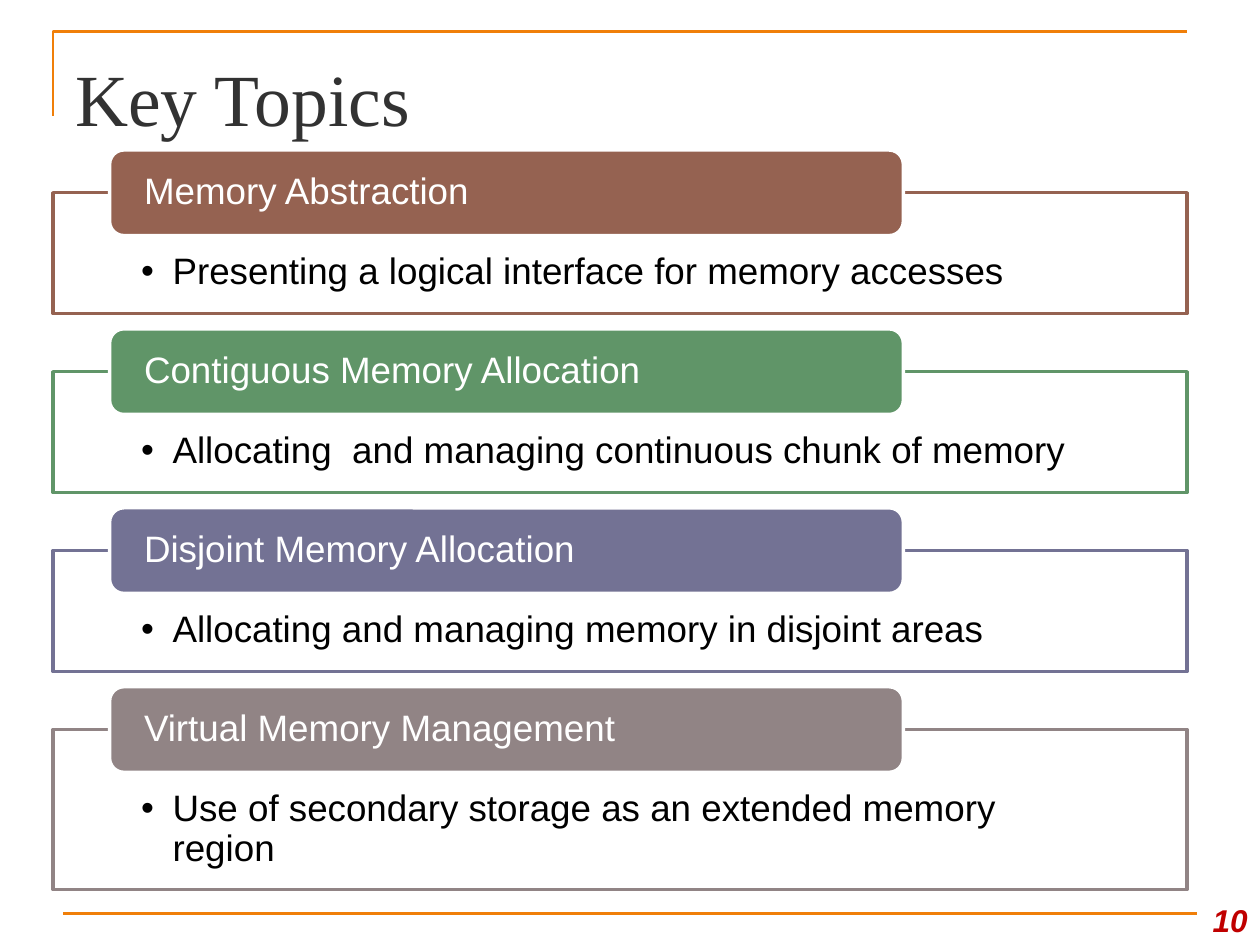
from lxml.etree import SubElement
from pptx import Presentation
from pptx.dml.color import RGBColor
from pptx.enum.shapes import MSO_CONNECTOR, MSO_SHAPE
from pptx.enum.text import MSO_ANCHOR, PP_ALIGN
from pptx.oxml.ns import qn
from pptx.util import Inches, Pt

ORANGE = RGBColor(0xF0, 0x7F, 0x09)
CHARCOAL = RGBColor(0x32, 0x32, 0x32)
DARK_RED = RGBColor(0xC0, 0x00, 0x00)
WHITE = RGBColor(0xFF, 0xFF, 0xFF)
BLACK = RGBColor(0x00, 0x00, 0x00)
BROWN = RGBColor(0x95, 0x62, 0x51)
GREEN = RGBColor(0x60, 0x95, 0x68)
VIOLET = RGBColor(0x73, 0x72, 0x94)
TAUPE = RGBColor(0x91, 0x84, 0x85)

SLIDE_WIDTH, SLIDE_HEIGHT = 10, 7.5
LEFT, CONTENT_WIDTH = 0.42, 9
FIRST_ROW, ROW_PITCH = 1.53, 1.42
PANEL_HEIGHT, TALL_PANEL_HEIGHT = 0.96, 1.27
TAB_INDENT, TAB_RISE = 0.45, 0.34
TAB_WIDTH, TAB_HEIGHT = 0.7 * CONTENT_WIDTH, 2 * TAB_RISE

TOPICS = [
    ("Memory Abstraction", "Presenting a logical interface for memory accesses",
     BROWN, PANEL_HEIGHT),
    ("Contiguous Memory Allocation", "Allocating  and managing continuous chunk of memory",
     GREEN, PANEL_HEIGHT),
    ("Disjoint Memory Allocation", "Allocating and managing memory in disjoint areas",
     VIOLET, PANEL_HEIGHT),
    ("Virtual Memory Management", "Use of secondary storage as an extended memory region",
     TAUPE, TALL_PANEL_HEIGHT),
]


def write(shape, text, size, color, font="Arial", anchor=MSO_ANCHOR.TOP,
          align=PP_ALIGN.LEFT, insets=(0.1, 0.05, 0.1, 0.05)):
    """Set one paragraph of text; insets are left, top, right, bottom."""
    frame = shape.text_frame
    frame.text = text
    frame.word_wrap = True
    frame.vertical_anchor = anchor
    (frame.margin_left, frame.margin_top,
     frame.margin_right, frame.margin_bottom) = map(Inches, insets)
    paragraph = frame.paragraphs[0]
    paragraph.alignment = align
    run = paragraph.runs[0]
    run.font.name = font
    run.font.size = Pt(size)
    run.font.color.rgb = color
    return paragraph


def add_bullet(paragraph, indent):
    properties = paragraph._p.get_or_add_pPr()
    properties.set("marL", str(Inches(indent)))
    properties.set("indent", str(-Inches(indent)))
    SubElement(properties, qn("a:buFont"), typeface="Arial")
    SubElement(properties, qn("a:buChar"), char="•")


def add_block(slide, preset, box, fill, outline):
    block = slide.shapes.add_shape(preset, *map(Inches, box))
    block.shadow.inherit = False
    block.fill.solid()
    block.fill.fore_color.rgb = fill
    block.line.color.rgb = outline
    block.line.width = Pt(2)
    return block


def add_topic(slide, row, heading, detail, color, height):
    """Draw an outlined panel with a heading tab over its top edge."""
    top = FIRST_ROW + row * ROW_PITCH
    panel = add_block(slide, MSO_SHAPE.RECTANGLE,
                      (LEFT, top, CONTENT_WIDTH, height), WHITE, color)
    point = write(panel, detail, 21, BLACK, insets=(0.7, 0.48, 0.7, 0.16))
    point.line_spacing = 0.9
    add_bullet(point, 0.25)

    tab = add_block(slide, MSO_SHAPE.ROUNDED_RECTANGLE,
                    (LEFT + TAB_INDENT, top - TAB_RISE, TAB_WIDTH, TAB_HEIGHT),
                    color, WHITE)
    label = write(tab, heading, 21, WHITE, anchor=MSO_ANCHOR.MIDDLE,
                  insets=(0.24, 0, 0.24, 0))
    label.line_spacing = 0.9


def add_frame_lines(slide):
    """Draw the corner rule above the title and the rule at the foot."""
    top = 0.25
    builder = slide.shapes.build_freeform(Inches(LEFT), Inches(top + 0.67))
    builder.add_line_segments(
        [(Inches(LEFT), Inches(top)), (Inches(LEFT + CONTENT_WIDTH), Inches(top))],
        close=False)
    corner = builder.convert_to_shape()
    corner.shadow.inherit = False
    corner.fill.background()

    foot = slide.shapes.add_connector(
        MSO_CONNECTOR.STRAIGHT, *map(Inches, (0.5, 7.25, 9.5, 7.25)))
    SubElement(foot._element.spPr, qn("a:effectLst"))
    for rule in (corner, foot):
        rule.line.color.rgb = ORANGE
        rule.line.width = Pt(1.5)


def add_title(slide, text):
    title = slide.shapes.add_textbox(*map(Inches, (0.5, 0.3, CONTENT_WIDTH, 0.78)))
    write(title, text, 42, CHARCOAL, font="Times New Roman",
          insets=(0.1, 0.12, 0.1, 0))


def add_page_number(slide, number):
    left = LEFT + CONTENT_WIDTH
    box = (left, SLIDE_HEIGHT - 0.5, SLIDE_WIDTH - left, 0.5)
    page = slide.shapes.add_textbox(*map(Inches, box))
    paragraph = write(page, number, 18, DARK_RED, anchor=MSO_ANCHOR.BOTTOM,
                      align=PP_ALIGN.RIGHT)
    paragraph.runs[0].font.bold = True
    paragraph.runs[0].font.italic = True


def main():
    deck = Presentation()
    deck.slide_width, deck.slide_height = Inches(SLIDE_WIDTH), Inches(SLIDE_HEIGHT)
    slide = deck.slides.add_slide(deck.slide_layouts[6])
    add_frame_lines(slide)
    add_title(slide, "Key Topics")
    add_page_number(slide, "10")
    for row, topic in enumerate(TOPICS):
        add_topic(slide, row, *topic)
    deck.save("out.pptx")


if __name__ == "__main__":
    main()
